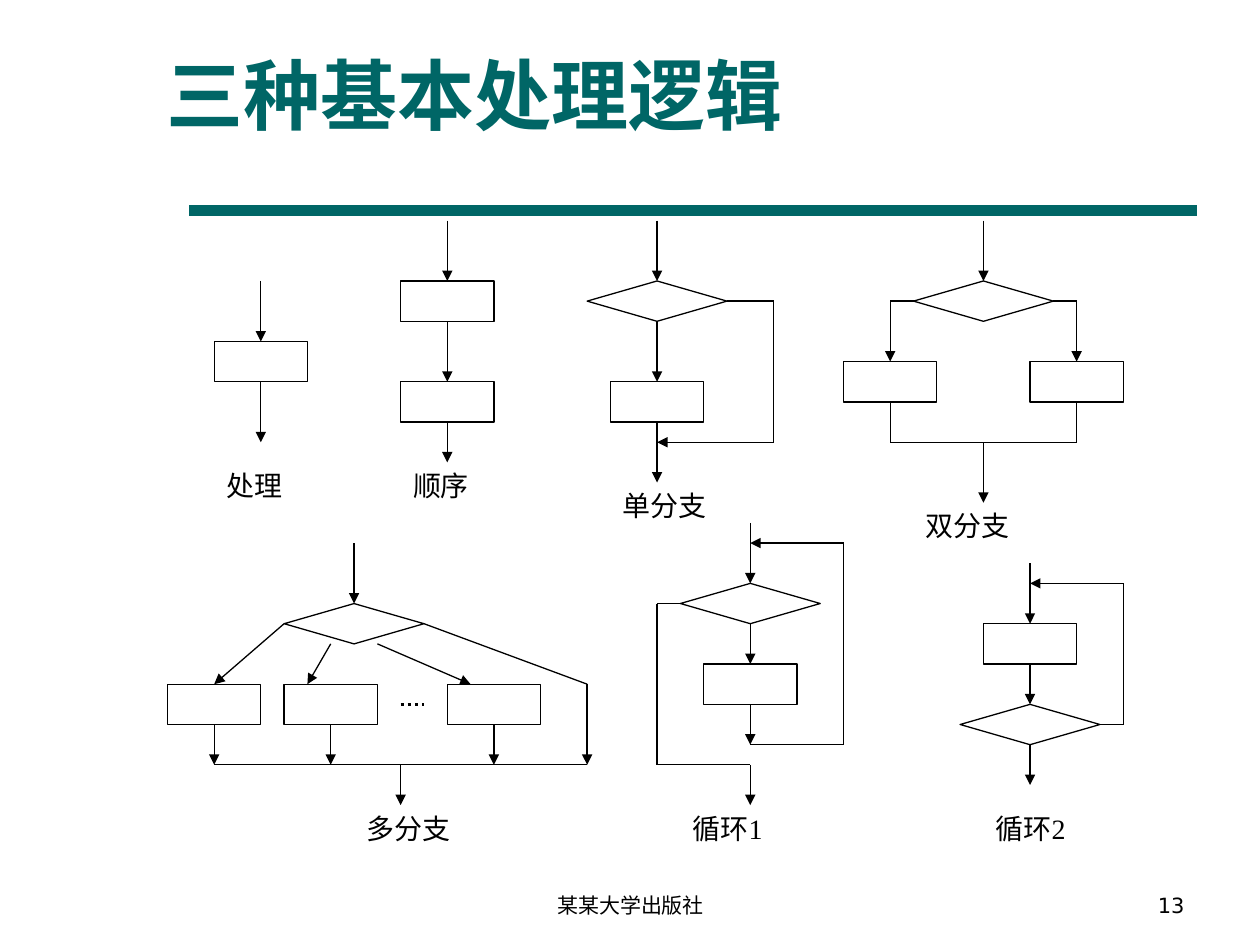
"""Build a slide of flowcharts for the basic processing logics."""
import pptx
import pptx.util
import pptx.dml.color
import pptx.enum.dml
import pptx.enum.shapes
import pptx.enum.text
import pptx.oxml
from pptx.util import Inches

TEAL = pptx.dml.color.RGBColor(0x00, 0x66, 0x66)
BLACK = pptx.dml.color.RGBColor(0x00, 0x00, 0x00)
WHITE = pptx.dml.color.RGBColor(0xFF, 0xFF, 0xFF)
LEFT, TOP, COLUMN, ROW = Inches(1.33), Inches(1.75), Inches(0.37) // 2, Inches(0.16)
SHAPE = pptx.enum.shapes.MSO_SHAPE
ALIGN = pptx.enum.text.PP_ALIGN
ANCHOR = pptx.enum.text.MSO_ANCHOR

deck = pptx.Presentation()
deck.slide_width, deck.slide_height = Inches(10), Inches(7.5)
page = deck.slides.add_slide(deck.slide_layouts[5])


def add_line(start, end, color=BLACK, width=0.75, arrow=False):
    line = page.shapes.add_connector(pptx.enum.shapes.MSO_CONNECTOR.STRAIGHT, *start, *end)
    line.line.color.rgb = color
    line.line.width = pptx.util.Pt(width)
    if arrow:
        head = pptx.oxml.xmlchemy.OxmlElement("a:tailEnd")
        head.set("type", "triangle")
        line.line._get_or_add_ln().append(head)
    line._element.spPr.append(pptx.oxml.xmlchemy.OxmlElement("a:effectLst"))
    return line


def write(box, text, size, font, color, align, anchor):
    frame = box.text_frame
    frame.word_wrap = True
    frame.auto_size = pptx.enum.text.MSO_AUTO_SIZE.NONE
    frame.vertical_anchor = anchor
    frame.margin_left = frame.margin_right = Inches(0.1)
    frame.margin_top = frame.margin_bottom = Inches(0.05)
    para = frame.paragraphs[0]
    para.alignment = align
    span = para.add_run()
    span.text = text
    span.font.size = pptx.util.Pt(size)
    span.font.name = font
    span.font.color.rgb = color
    return span


title = page.shapes.title
title.left, title.top = Inches(1.22), Inches(0.12)
title.width, title.height = Inches(8.5), Inches(1.04)
write(title, "三种基本处理逻辑", 44, "Arial", TEAL, ALIGN.LEFT, ANCHOR.BOTTOM).font.bold = True
add_line((Inches(1.5), Inches(1.67)), (Inches(9.5), Inches(1.67)), TEAL, 6)

processes = [(2, 6), (10, 3), (10, 8), (19, 8), (29, 7), (37, 7),
             (0, 23), (5, 23), (12, 23), (23, 22), (35, 20)]
decisions = [(18, 3), (32, 3), (5, 19), (22, 18), (34, 24)]
for kind, columns, places in ((SHAPE.FLOWCHART_PROCESS, 4, processes),
                              (SHAPE.FLOWCHART_DECISION, 6, decisions)):
    for column, row in places:
        node = page.shapes.add_shape(kind, LEFT + column * COLUMN, TOP + row * ROW,
                                     columns * COLUMN, 2 * ROW)
        node.shadow.inherit = False
        node.fill.solid()
        node.fill.fore_color.rgb = WHITE
        node.line.color.rgb = BLACK
        node.line.width = pptx.util.Pt(0.75)

arrows = [
    [(4, 3), (4, 6)], [(4, 8), (4, 11)],
    [(12, 0), (12, 3)], [(12, 5), (12, 8)], [(12, 10), (12, 12)],
    [(21, 0), (21, 3)], [(21, 5), (21, 8)], [(21, 10), (21, 13)],
    [(24, 4), (26, 4), (26, 11), (21, 11)],
    [(35, 0), (35, 3)], [(32, 4), (31, 4), (31, 7)],
    [(38, 4), (39, 4), (39, 7)], [(35, 11), (35, 14)],
    [(8, 16), (8, 19)], [(5, 20), (2, 23)], [(7, 21), (6, 23)], [(9, 21), (13, 23)],
    [(11, 20), (18, 23), (18, 27)], [(2, 25), (2, 27)], [(7, 25), (7, 27)],
    [(14, 25), (14, 27)], [(10, 27), (10, 29)],
    [(25, 15), (25, 18)], [(25, 20), (25, 22)], [(25, 24), (25, 26)],
    [(25, 26), (29, 26), (29, 16), (25, 16)],
    [(22, 19), (21, 19), (21, 27), (25, 27), (25, 29)],
    [(37, 17), (37, 20)], [(37, 22), (37, 24)], [(37, 26), (37, 28)],
    [(40, 25), (41, 25), (41, 18), (37, 18)],
]
joins = [[(31, 9), (31, 11), (39, 11), (39, 9)], [(2, 27), (18, 27)]]
for routes, pointed in ((arrows, True), (joins, False)):
    for route in routes:
        points = [(LEFT + column * COLUMN, TOP + row * ROW) for column, row in route]
        for start, end in zip(points, points[1:]):
            add_line(start, end, arrow=pointed and end == points[-1])

ellipsis = add_line((LEFT + 10 * COLUMN, TOP + 24 * ROW),
                    (LEFT + 11 * COLUMN, TOP + 24 * ROW), width=2)
ellipsis.line.dash_style = pptx.enum.dml.MSO_LINE.ROUND_DOT

labels = [("处理", 2, 12, 4), ("顺序", 10, 12, 4), ("单分支", 19, 13, 5), ("双分支", 32, 14, 5),
          ("多分支", 8, 29, 5), ("循环1", 22, 29, 5), ("循环2", 35, 29, 5)]
for text, column, row, columns in labels:
    label = page.shapes.add_textbox(LEFT + column * COLUMN, TOP + row * ROW,
                                    columns * COLUMN, 3 * ROW)
    write(label, text, 16, "Times New Roman", BLACK, ALIGN.JUSTIFY, ANCHOR.TOP)

for text, left, width, align in (("某某大学出版社", 3.42, 3.17, ALIGN.CENTER),
                                 ("13", 7.17, 2.33, ALIGN.RIGHT)):
    footer = page.shapes.add_textbox(Inches(left), Inches(6.83), Inches(width), Inches(0.5))
    write(footer, text, 12, "DejaVu Sans", BLACK, align, ANCHOR.BOTTOM)

deck.save("out.pptx")
